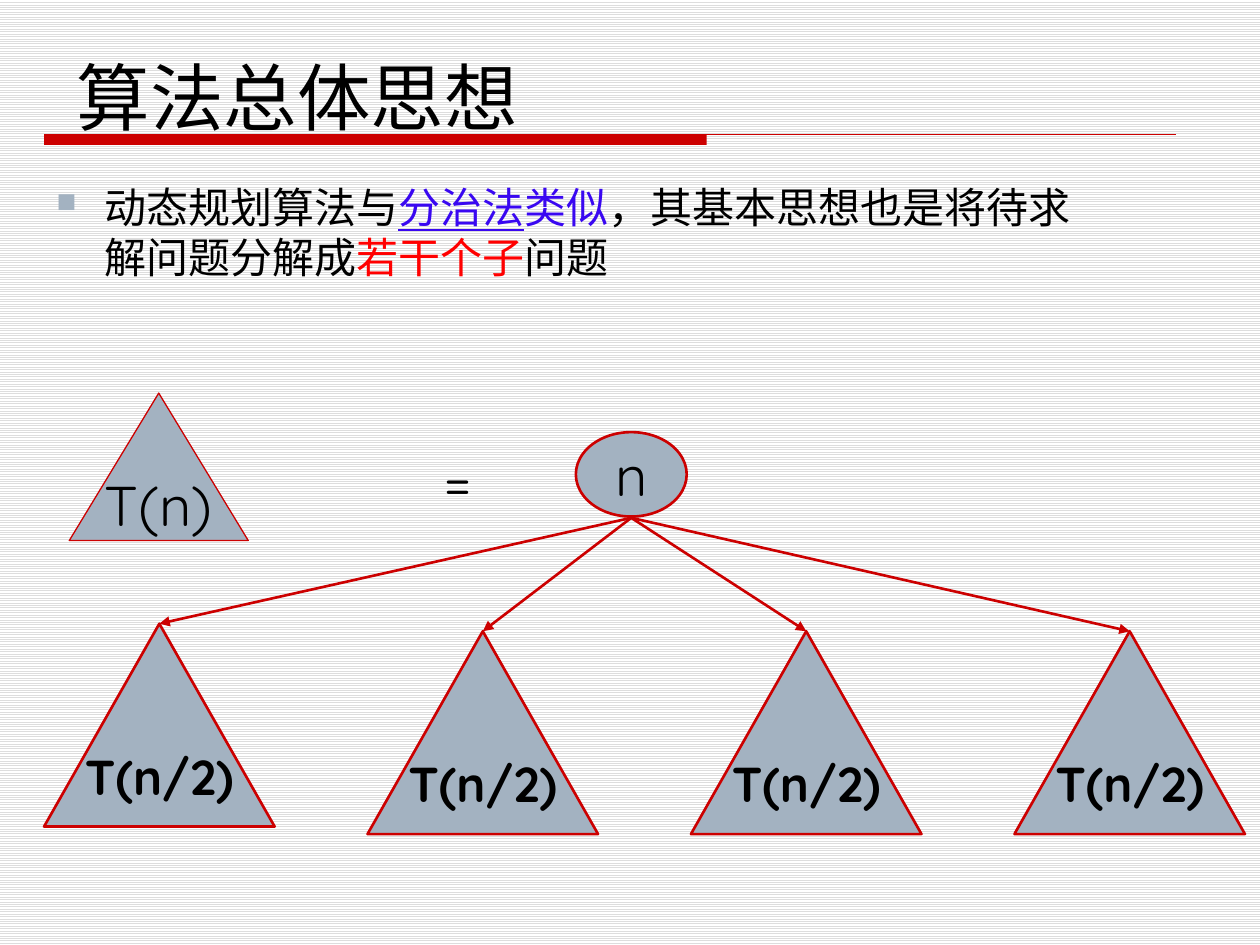
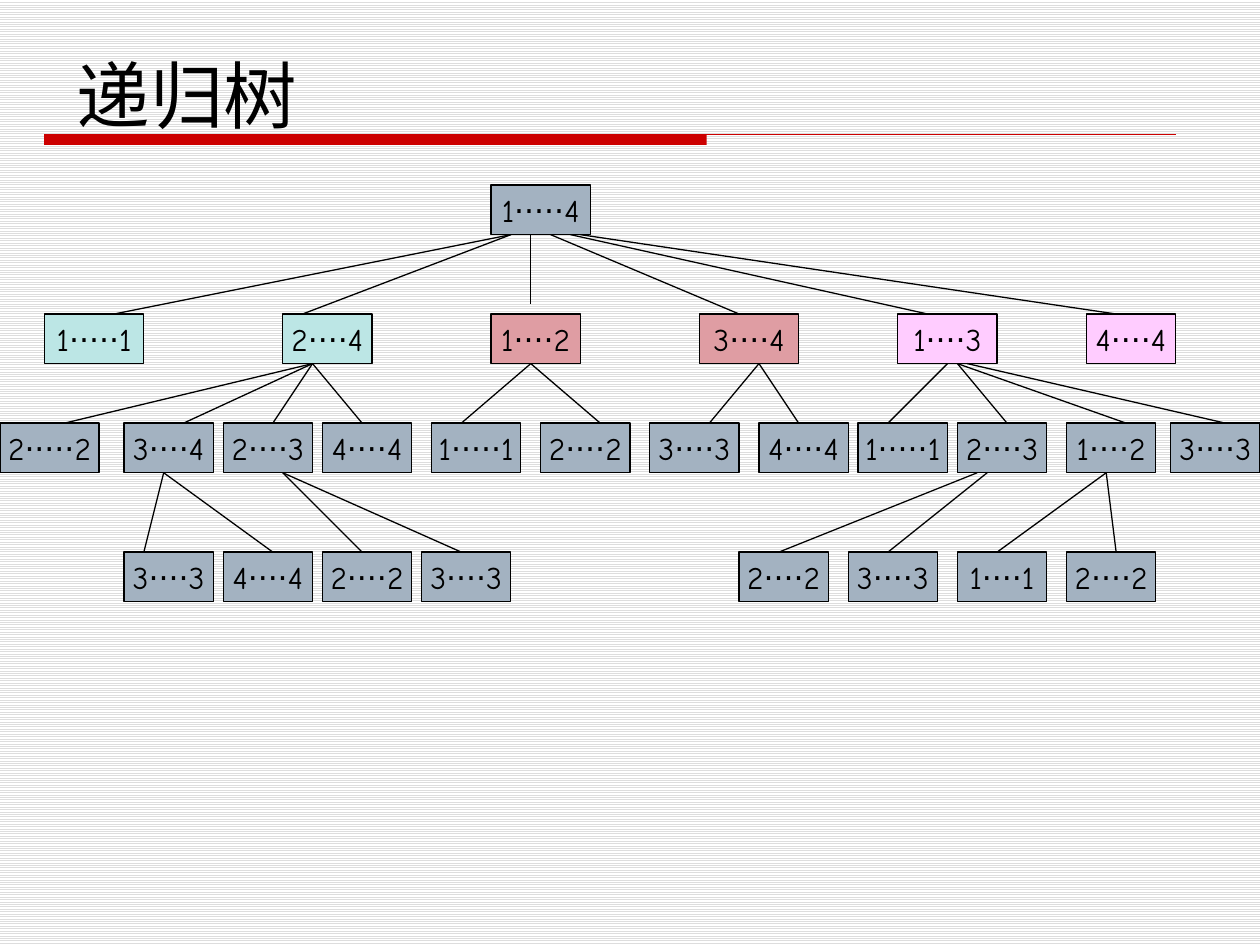
"""Build two slides on dynamic programming: the general idea and its recursion tree."""
from lxml import etree
from pptx import Presentation, util as u
from pptx.dml.color import RGBColor
from pptx.enum import dml, shapes as sh, text as tx
from pptx.oxml.ns import qn

BLACK = RGBColor(0, 0, 0)
WHITE = RGBColor(255, 255, 255)
STRIPE = RGBColor(0xDD, 0xDD, 0xDD)
RED = RGBColor(0xCC, 0, 0)
STEEL = RGBColor(0xA3, 0xB2, 0xC1)
MINT = RGBColor(0xBC, 0xE6, 0xE5)
ROSE = RGBColor(0xDF, 0x9D, 0xA3)
PINK = RGBColor(0xFF, 0xCC, 0xFF)
BLUE = RGBColor(0x39, 0x07, 0xF1)
BRIGHT = RGBColor(0xFF, 0, 0)
HAN, SERIF, SANS = "Noto Sans CJK SC", "Times New Roman", "Quicksand"
DIGIT, DOT = "Comic Neue", "DejaVu Sans"

IDEA = [
    ("动态规划算法与", BLACK, False),
    ("分治法", BLUE, True),
    ("类似", BLUE, False),
    ("，其基本思想也是将待求解问题分解成", BLACK, False),
    ("若干个子", BRIGHT, False),
    ("问题", BLACK, False),
]
PARTS = ["T(n/2)"] * 4
PART_TOPS = [4.95, 5.01, 5.01, 5.01]

# Tree rows in millimetres: top, then (left, width, first, dots, last, fill).
ROWS = [
    (37.3, [(99, 20, 1, 5, 4, STEEL)]),
    (63.3, [(9, 20, 1, 5, 1, MINT), (57, 18, 2, 4, 4, MINT),
            (99, 18, 1, 4, 2, ROSE), (141, 20, 3, 4, 4, ROSE),
            (181, 20, 1, 4, 3, PINK), (219, 18, 4, 4, 4, PINK)]),
    (85.3, [(0, 20, 2, 5, 2, STEEL), (25, 18, 3, 4, 4, STEEL),
            (45, 18, 2, 4, 3, STEEL), (65, 18, 4, 4, 4, STEEL),
            (87, 18, 1, 5, 1, STEEL), (109, 18, 2, 4, 2, STEEL),
            (131, 18, 3, 4, 3, STEEL), (153, 18, 4, 4, 4, STEEL),
            (173, 18, 1, 5, 1, STEEL), (193, 18, 2, 4, 3, STEEL),
            (215, 18, 1, 4, 2, STEEL), (236, 18, 3, 4, 3, STEEL)]),
    (111.3, [(25, 18, 3, 4, 3, STEEL), (45, 18, 4, 4, 4, STEEL),
             (65, 18, 2, 4, 2, STEEL), (85, 18, 3, 4, 3, STEEL),
             (149, 18, 2, 4, 2, STEEL), (171, 18, 3, 4, 3, STEEL),
             (193, 18, 1, 4, 1, STEEL), (215, 18, 2, 4, 2, STEEL)]),
]
BOX_H = 10
LINKS = [
    [(103, [23, 61]), (107, [107]), (111, [149]), (115, [187]), (117, [225])],
    [(63, [13, 37, 55, 73]), (107, [93, 121]), (153, [143, 161]),
     (191, [179]), (193, [203, 227]), (195, [247])],
    [(33, [29, 55]), (57, [73, 93]), (197, [157]), (199, [179]),
     (223, [201, 225])],
]
SHORT = {(0, 107): 2}


def inch(*vals):
    return [u.Inches(v) for v in vals]


def mil(*vals):
    return [u.Mm(v) for v in vals]


def style(para, size, name, bold=None):
    font = para.font
    font.size, font.name, font.bold = u.Pt(size), name, bold
    font.color.rgb = BLACK
    props = para._p.pPr.find(qn("a:defRPr"))
    etree.SubElement(props, qn("a:ea")).set("typeface", HAN)


def write(para, parts):
    for words, name in parts:
        run = para.add_run()
        run.text = words
        if name:
            run.font.name = name


def label(slide, box, words, size, name, anchor=tx.MSO_ANCHOR.TOP):
    frame = slide.shapes.add_textbox(*inch(*box)).text_frame
    frame.word_wrap = True
    frame.vertical_anchor = anchor
    para = frame.paragraphs[0]
    write(para, [(words, None)])
    style(para, size, name)
    return para


def node(slide, kind, box, parts, size, name, fill=STEEL, edge=RED, width=1.5, bold=None):
    shape = slide.shapes.add_shape(kind, *box)
    shape.shadow.inherit = False
    shape.fill.solid()
    shape.fill.fore_color.rgb = fill
    shape.line.color.rgb = edge
    shape.line.width = u.Pt(width)
    frame = shape.text_frame
    frame.word_wrap = False
    frame.vertical_anchor = tx.MSO_ANCHOR.MIDDLE
    para = frame.paragraphs[0]
    para.alignment = tx.PP_ALIGN.CENTER
    write(para, parts)
    style(para, size, name, bold)
    return shape


def link(slide, ends, color, width, arrow=False):
    line = slide.shapes.add_connector(sh.MSO_CONNECTOR.STRAIGHT, *ends)
    line.line.color.rgb = color
    line.line.width = u.Pt(width)
    if arrow:
        etree.SubElement(line.line._get_or_add_ln(), qn("a:tailEnd")).set("type", "triangle")
    etree.SubElement(line._element.spPr, qn("a:effectLst"))
    return line


def start(deck, title, box, anchor):
    slide = deck.slides.add_slide(deck.slide_layouts[6])
    band = slide.shapes.add_shape(sh.MSO_SHAPE.RECTANGLE, *inch(0.35, 1.07, 5.26, 0.08))
    band.shadow.inherit = False
    band.fill.solid()
    band.fill.fore_color.rgb = RED
    band.line.fill.background()
    link(slide, inch(0.35, 1.07, 9.33, 1.07), RED, 0.75)
    label(slide, box, title, 42, SERIF, anchor)
    return slide


def bullet(para):
    props = para._p.get_or_add_pPr()
    props.set("marL", str(u.Inches(0.38)))
    props.set("indent", str(-u.Inches(0.38)))
    color = etree.SubElement(props, qn("a:buClr"))
    etree.SubElement(color, qn("a:srgbClr")).set("val", str(STEEL))
    etree.SubElement(props, qn("a:buSzPct")).set("val", "65000")
    etree.SubElement(props, qn("a:buChar")).set("char", "■")


def idea(deck):
    slide = start(deck, "算法总体思想", (0.51, 0.14, 8.5, 1.25), tx.MSO_ANCHOR.MIDDLE)
    frame = slide.shapes.add_textbox(*inch(0.35, 1.39, 8.5, 4.5)).text_frame
    frame.word_wrap = True
    para = frame.paragraphs[0]
    bullet(para)
    for words, color, under in IDEA:
        run = para.add_run()
        run.text = words
        run.font.color.rgb = color
        run.font.underline = under
    style(para, 24, HAN)

    tri = sh.MSO_SHAPE.ISOSCELES_TRIANGLE
    node(slide, sh.MSO_SHAPE.OVAL, inch(4.57, 3.43, 0.88, 0.67), [("n", None)], 32, SANS)
    for i, (words, top) in enumerate(zip(PARTS, PART_TOPS)):
        part = node(slide, tri, inch(0.35 + 2.567 * i, top, 1.83, 1.61),
                    [(words, None)], 28, SANS, bold=True)
        arrow = link(slide, inch(5.01, 4.11, 5.01, top), RED, 1.5, True)
        arrow.end_connect(part, 0)
    node(slide, tri, inch(0.55, 3.12, 1.42, 1.17), [("T(n)", None)], 32, SANS, width=0.75)
    label(slide, (3.05, 3.49, 1.17, 0.63), "=", 32, SANS).alignment = tx.PP_ALIGN.CENTER


def tree(deck):
    slide = start(deck, "递归树", (0.51, 0.31, 5.43, 0.84), tx.MSO_ANCHOR.BOTTOM)
    mids = {}
    for level, (top, boxes) in enumerate(ROWS):
        for left, wide, first, dots, last, fill in boxes:
            parts = [(str(first), None), ("·" * dots, DOT), (str(last), None)]
            mids[level, left + wide / 2] = node(
                slide, sh.MSO_SHAPE.RECTANGLE, mil(left, top, wide, BOX_H),
                parts, 18, DIGIT, fill, BLACK, 0.75)
    for level, forks in enumerate(LINKS):
        for x, kids in forks:
            for kid in kids:
                low = ROWS[level + 1][0] - SHORT.get((level, kid), 0)
                line = link(slide, mil(x, ROWS[level][0] + BOX_H, kid, low), BLACK, 0.75)
                if (level, x) in mids:
                    line.begin_connect(mids[level, x], 2)
                if (level + 1, kid) in mids:
                    line.end_connect(mids[level + 1, kid], 0)


def main():
    deck = Presentation()
    deck.slide_width, deck.slide_height = inch(10, 7.5)
    fill = deck.slide_master.background.fill
    fill.patterned()
    fill.pattern = dml.MSO_PATTERN.LIGHT_HORIZONTAL
    fill.fore_color.rgb, fill.back_color.rgb = STRIPE, WHITE
    idea(deck)
    tree(deck)
    deck.save("out.pptx")


if __name__ == "__main__":
    main()
